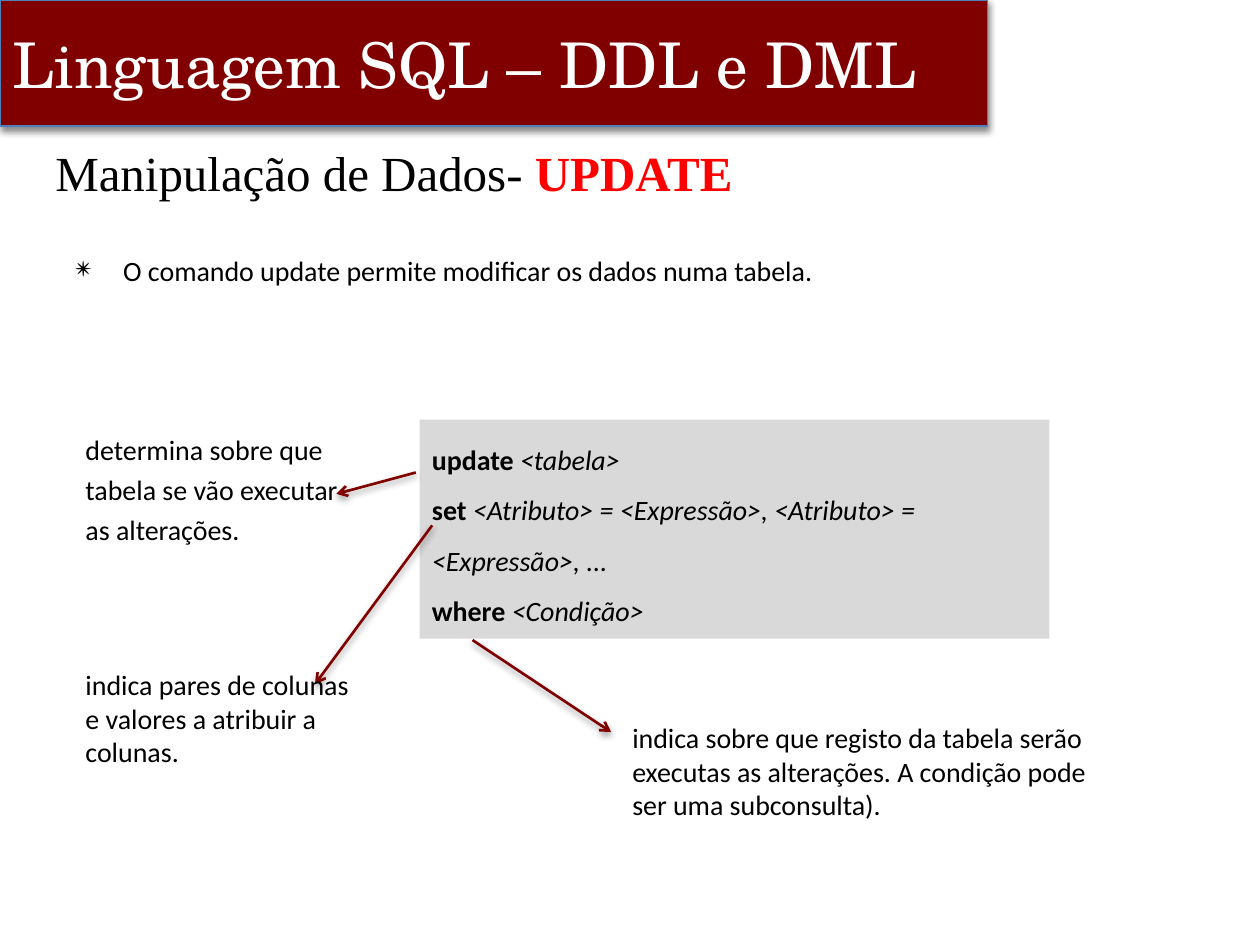
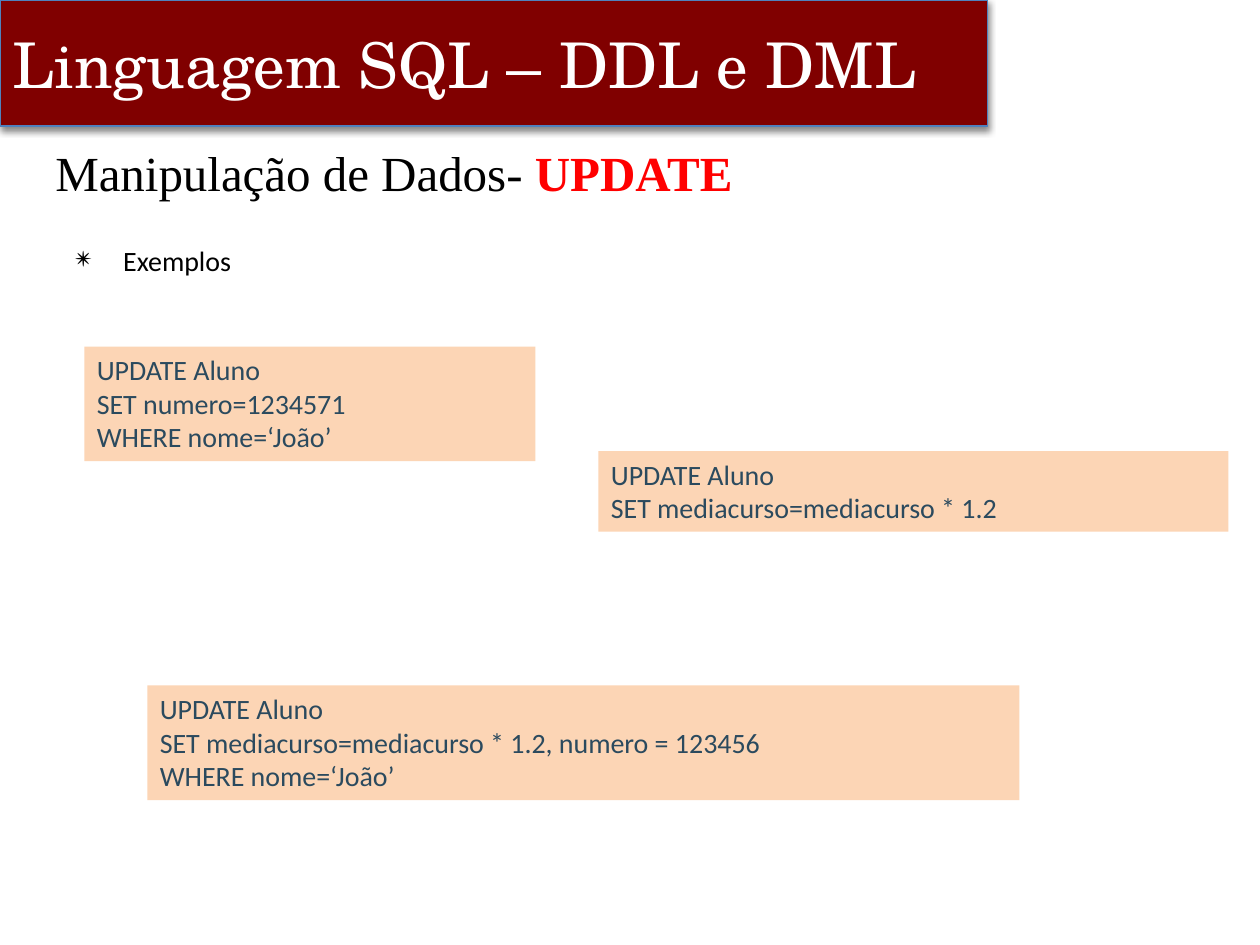
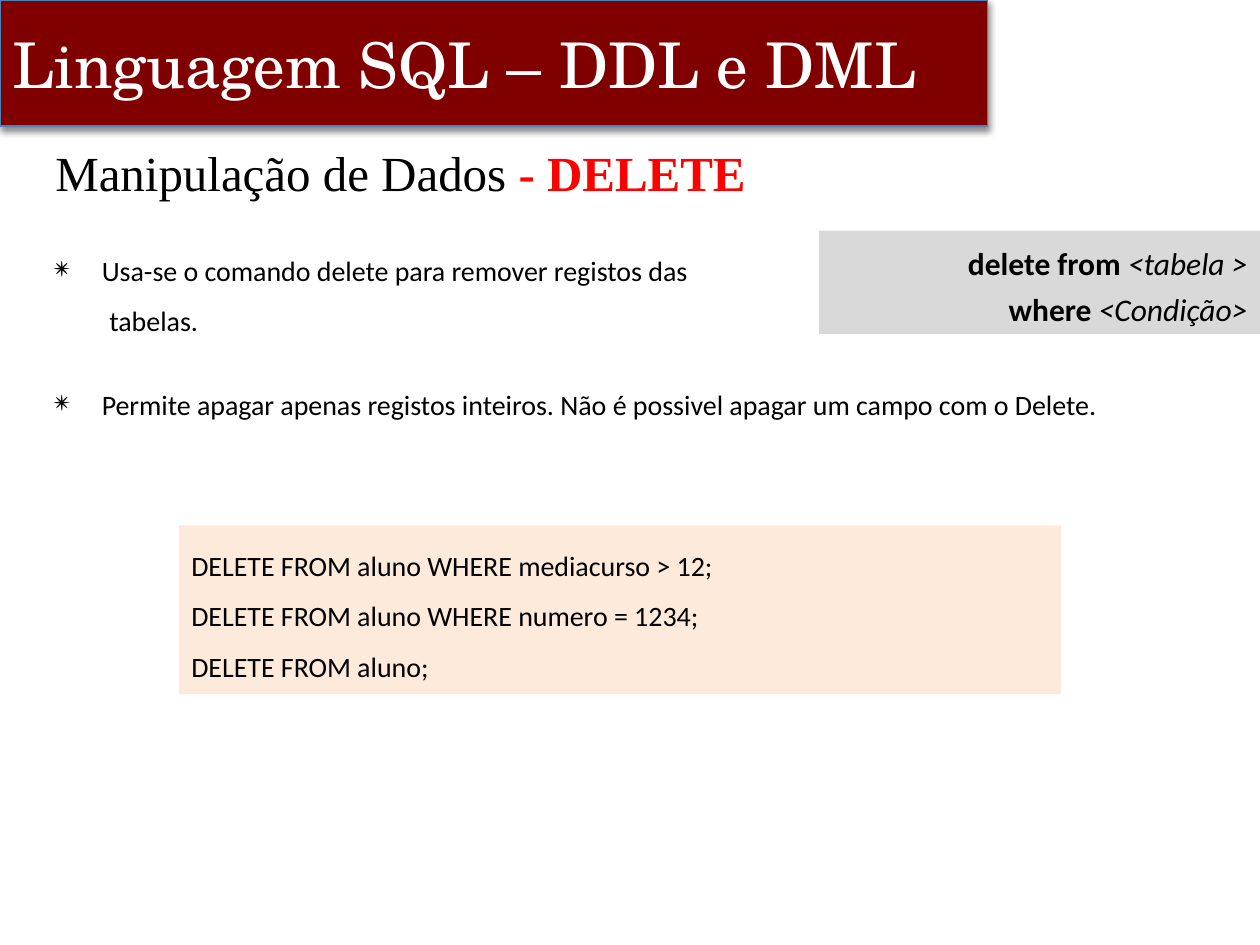
from lxml import etree
from pptx import Presentation
from pptx.dml.color import RGBColor
from pptx.enum.shapes import MSO_CONNECTOR, MSO_SHAPE
from pptx.enum.text import MSO_ANCHOR, MSO_AUTO_SIZE, PP_ALIGN
from pptx.oxml.ns import qn
from pptx.util import Inches, Pt

RECTANGLE = MSO_SHAPE.RECTANGLE
STRAIGHT = MSO_CONNECTOR.STRAIGHT
TOP, MIDDLE = MSO_ANCHOR.TOP, MSO_ANCHOR.MIDDLE
LEFT, RIGHT = PP_ALIGN.LEFT, PP_ALIGN.RIGHT
FIT_SHAPE = MSO_AUTO_SIZE.SHAPE_TO_FIT_TEXT

MAROON, BAND_EDGE, RED = "800000", "4F81BD", "FF0000"
BLACK, WHITE, SLATE = "000000", "FFFFFF", "2B4A5E"
GREY, PEACH, CREAM = "D9D9D9", "FCD5B5", "FDEADA"
BODY_FONT, BAND_FONT, HEADING_FONT = "Calibri", "TeX Gyre Schola", "Times New Roman"
PLAIN, BOLD, ITALIC = {}, {"bold": True}, {"italic": True}
BULLET = "✴"


def rgb(value):
    return RGBColor.from_string(value)


def add_shadow(shape, opacity):
    effects = etree.SubElement(shape.element.spPr, qn("a:effectLst"))
    shadow = etree.SubElement(effects, qn("a:outerShdw"), blurRad=str(Pt(4)),
                              dist=str(Pt(2)), dir="5400000", rotWithShape="0")
    tint = etree.SubElement(shadow, qn("a:srgbClr"), val=BLACK)
    etree.SubElement(tint, qn("a:alpha"), val=str(opacity * 1000))


def add_run(paragraph, text, size, font=BODY_FONT, color=BLACK, bold=False, italic=False):
    run = paragraph.add_run()
    run.text = text
    run.font.size = Pt(size)
    run.font.name = font
    run.font.color.rgb = rgb(color)
    run.font.bold = bold
    run.font.italic = italic


def next_paragraph(frame, index):
    return frame.add_paragraph() if index else frame.paragraphs[0]


def set_indent(paragraph, margin, first):
    properties = paragraph._p.get_or_add_pPr()
    properties.set("marL", str(Inches(margin)))
    properties.set("indent", str(Inches(first)))
    return properties


def write(shape, lines, size=16, color=BLACK, spacing=1.0, align=LEFT):
    frame = shape.text_frame
    frame.word_wrap = True
    frame.vertical_anchor = TOP
    frame.auto_size = FIT_SHAPE
    for index, runs in enumerate(lines):
        paragraph = next_paragraph(frame, index)
        paragraph.alignment = align
        paragraph.line_spacing = spacing
        for text, style in runs:
            add_run(paragraph, text, size, color=color, **style)


def plain_lines(*texts):
    return [[(text, PLAIN)] for text in texts]


def add_text_area(slide, box):
    return slide.shapes.add_textbox(*map(Inches, box))


def add_block(slide, box, fill):
    block = slide.shapes.add_shape(RECTANGLE, *map(Inches, box))
    block.shadow.inherit = False
    block.fill.solid()
    block.fill.fore_color.rgb = rgb(fill)
    block.line.fill.background()
    return block


def add_panel(slide, box, fill, lines, **style):
    write(add_block(slide, box, fill), lines, **style)


def add_note(slide, box, text, spacing=1.0):
    write(add_text_area(slide, box), plain_lines(text), spacing=spacing)


def add_band(slide, box=(0, 0, 7.84, 1)):
    band = slide.shapes.add_shape(RECTANGLE, *map(Inches, box))
    band.fill.solid()
    band.fill.fore_color.rgb = rgb(MAROON)
    band.line.color.rgb = rgb(BAND_EDGE)
    band.line.width = Pt(0.75)
    add_shadow(band, 45)
    frame = band.text_frame
    frame.word_wrap = True
    frame.vertical_anchor = MIDDLE
    frame.paragraphs[0].alignment = LEFT
    add_run(frame.paragraphs[0], "Linguagem SQL – DDL e DML", 36, BAND_FONT, WHITE)


def add_heading(slide, topic, command, box=(0.25, 1.08, 9.58, 0.83)):
    frame = add_text_area(slide, box).text_frame
    frame.word_wrap = True
    paragraph = frame.paragraphs[0]
    set_indent(paragraph, 0.5, -0.41)
    add_run(paragraph, topic, 28, HEADING_FONT)
    add_run(paragraph, command, 28, HEADING_FONT, RED, bold=True)


def add_bullets(slide, box, items):
    frame = add_text_area(slide, box).text_frame
    frame.word_wrap = True
    for index, (text, bulleted, gap) in enumerate(items):
        paragraph = next_paragraph(frame, index)
        paragraph.line_spacing = 1.5
        paragraph.space_before = Pt(gap)
        if bulleted:
            properties = set_indent(paragraph, 0.38, -0.38)
            etree.SubElement(properties, qn("a:buChar"), char=BULLET)
        else:
            set_indent(paragraph, 0, 0.39)
        add_run(paragraph, text, 16)


def add_arrow(slide, start, end):
    arrow = slide.shapes.add_connector(STRAIGHT, *map(Inches, start + end))
    arrow.line.color.rgb = rgb(MAROON)
    arrow.line.width = Pt(1.5)
    outline = arrow.element.spPr.find(qn("a:ln"))
    etree.SubElement(outline, qn("a:tailEnd"), type="arrow")
    add_shadow(arrow, 40)


def add_update_syntax(slide, left, top):
    def at(x, y, *size):
        return (left + x, top + y, *size)

    add_panel(slide, at(2.75, 0, 5, 1.74), GREY, [
        [("update ", BOLD), ("<tabela>", ITALIC)],
        [("set ", BOLD),
         ("<Atributo> = <Expressão>, <Atributo> = <Expressão>, ...", ITALIC)],
        [("where ", BOLD), ("<Condição>", ITALIC)],
    ], spacing=1.5)
    add_arrow(slide, at(2.72, 0.42), at(2.09, 0.59))
    add_note(slide, at(0, 0, 2.42, 1.06),
             "determina sobre que tabela se vão executar as alterações.", 1.2)
    add_arrow(slide, at(3.17, 1.75), at(4.27, 2.48))
    add_note(slide, at(4.34, 2.34, 4, 0.91),
             "indica sobre que registo da tabela serão executas as alterações. "
             "A condição pode ser uma subconsulta).")
    add_arrow(slide, at(2.85, 0.84), at(1.92, 2.1))
    add_note(slide, at(0, 1.92, 2.42, 0.91),
             "indica pares de colunas e valores a atribuir a colunas.")


def start_slide(deck, topic, command, bullet_box, bullets):
    slide = deck.slides.add_slide(deck.slide_layouts[6])
    add_band(slide)
    add_bullets(slide, bullet_box, bullets)
    add_heading(slide, topic, command)
    return slide


def build_update_syntax(deck):
    slide = start_slide(deck, "Manipulação de Dados- ", "UPDATE", (0.5, 1.83, 9, 1.17), [
        ("O comando update permite modificar os dados numa tabela.", True, 0)])
    add_update_syntax(slide, 0.58, 3.33)


def build_update_examples(deck):
    slide = start_slide(deck, "Manipulação de Dados- ", "UPDATE", (0.5, 1.75, 9, 0.75), [
        ("Exemplos", True, 0)])
    condition = "WHERE nome=‘João’"
    examples = [
        ((0.67, 2.75, 3.58, 0.91), ["SET numero=1234571", condition]),
        ((1.17, 5.44, 6.92, 0.91),
         ["SET mediacurso=mediacurso * 1.2, numero = 123456", condition]),
        ((4.75, 3.58, 5, 0.64), ["SET mediacurso=mediacurso * 1.2"]),
    ]
    for box, clauses in examples:
        add_panel(slide, box, PEACH, plain_lines("UPDATE Aluno", *clauses), color=SLATE)


def build_delete(deck):
    slide = start_slide(deck, "Manipulação de Dados ", "- DELETE", (0.33, 1.83, 9, 4.7), [
        ("Usa-se o comando delete para remover registos das", True, 0),
        (" tabelas.", False, 0),
        ("Permite apagar apenas registos inteiros. "
         "Não é possivel apagar um campo com o Delete.", True, 19)])
    add_panel(slide, (6.5, 1.83, 3.5, 0.82), GREY, [
        [("delete from ", BOLD), ("<tabela >", ITALIC)],
        [("where ", BOLD), ("<Condição>", ITALIC)],
    ], size=18, spacing=1.2, align=RIGHT)
    add_panel(slide, (1.42, 4.17, 7, 1.34), CREAM, plain_lines(
        "DELETE FROM aluno WHERE mediacurso > 12;",
        "DELETE FROM aluno WHERE numero = 1234;",
        "DELETE FROM aluno;"), spacing=1.5)


def main():
    deck = Presentation()
    deck.slide_width, deck.slide_height = Inches(10), Inches(7.5)
    build_update_syntax(deck)
    build_update_examples(deck)
    build_delete(deck)
    deck.save("out.pptx")


if __name__ == "__main__":
    main()
